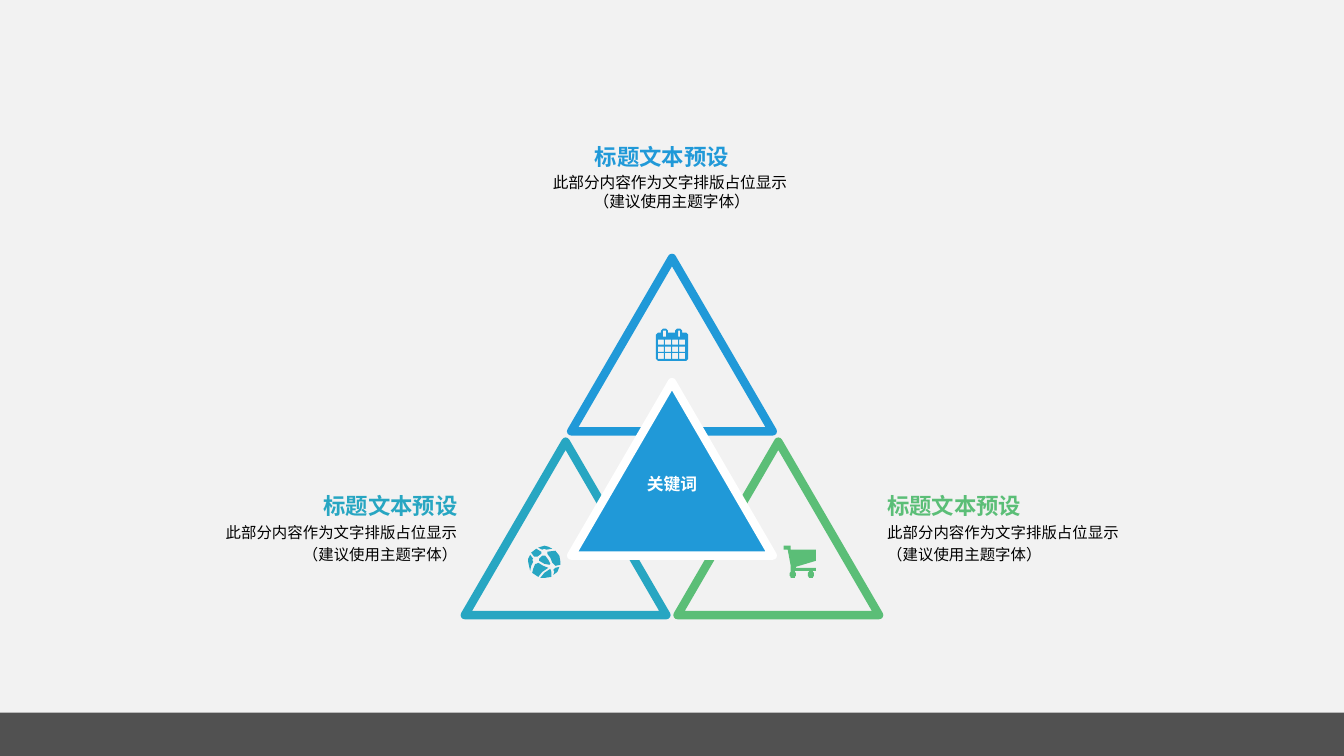
import math

from lxml import etree
from pptx import Presentation
from pptx import util as u
from pptx.dml.color import RGBColor
from pptx.enum import shapes, text
from pptx.oxml.ns import qn

COLORS = {
    "paper": "F2F2F2", "bar": "0D0D0D", "blue": "2099D8", "green": "5BBE77",
    "teal": "27A6C2", "white": "FFFFFF", "black": "000000",
}
SLIDE_W, SLIDE_H = 33.87, 19.05
MIDDLE = SLIDE_W / 2
TRI_W, TRI_H = 5.08, 4.37
ICON_UNIT = u.Cm(0.0254)
LEFT, CENTER, RIGHT = text.PP_ALIGN.LEFT, text.PP_ALIGN.CENTER, text.PP_ALIGN.RIGHT


class Board:
    font = "Calibri"

    def __init__(self, slide):
        self.slide = slide
        slide.background.fill.solid()
        slide.background.fill.fore_color.rgb = self.color("paper")

    def color(self, name):
        return RGBColor.from_string(COLORS[name])

    def paint(self, shape, fill=None, line=None, width=6):
        shape.shadow.inherit = False
        if fill:
            shape.fill.solid()
            shape.fill.fore_color.rgb = self.color(fill)
        else:
            shape.fill.background()
        if line:
            shape.line.color.rgb = self.color(line)
            shape.line.width = u.Pt(width)
            outline = shape.element.spPr.find(qn("a:ln"))
            etree.SubElement(outline, qn("a:round"))
        else:
            shape.line.fill.background()

    def bar(self, top, height, opacity):
        bar = self.slide.shapes.add_shape(
            shapes.MSO_SHAPE.RECTANGLE, 0, u.Cm(top), u.Cm(SLIDE_W), u.Cm(height))
        self.paint(bar, fill="bar")
        tint = bar.element.spPr.find(qn("a:solidFill")).find(qn("a:srgbClr"))
        etree.SubElement(tint, qn("a:alpha"), val=str(opacity * 1000))

    def triangle(self, center, top, fill=None, line=None):
        triangle = self.slide.shapes.add_shape(
            shapes.MSO_SHAPE.ISOSCELES_TRIANGLE, u.Cm(center - TRI_W / 2), u.Cm(top),
            u.Cm(TRI_W), u.Cm(TRI_H))
        self.paint(triangle, fill, line)
        return triangle

    def icon(self, left, top, outlines, color):
        first, *others = outlines
        pen = self.slide.shapes.build_freeform(*first[0], scale=ICON_UNIT)
        pen.add_line_segments(first[1:], close=True)
        for outline in others:
            pen.move_to(*outline[0])
            pen.add_line_segments(outline[1:], close=True)
        self.paint(pen.convert_to_shape(u.Cm(left), u.Cm(top)), fill=color)

    def label(self, frame, words, size, color, align, bold=False, wrap=False,
              spacing=None, indent=0, **frame_format):
        frame_format = {"word_wrap": wrap, **frame_format}
        for key, value in frame_format.items():
            setattr(frame, key, value)
        paragraph = frame.paragraphs[0]
        paragraph.text = words
        for key, value in {"alignment": align, "line_spacing": spacing}.items():
            setattr(paragraph, key, value)
        if indent:
            paragraph._p.get_or_add_pPr().set("marL", str(u.Cm(indent)))
        style = {"name": self.font, "size": u.Pt(size), "bold": bold}
        for run in paragraph.runs:
            for key, value in style.items():
                setattr(run.font, key, value)
            run.font.color.rgb = self.color(color)

    def textbox(self, left, top, width, height, words, size, color, align, **options):
        box = self.slide.shapes.add_textbox(*map(u.Cm, (left, top, width, height)))
        margins = {"margin_left": u.Cm(0.41), "margin_right": u.Cm(0.41),
                   "margin_top": 0, "margin_bottom": 0}
        self.label(box.text_frame, words, size, color, align, **margins, **options)

    def caption(self, left, top, width, title_height, body_height, color, align,
                body, body_size, title_align=None, indent=0, spacing=None):
        self.textbox(left, top, width, title_height, "标题文本预设", 16, color,
                     title_align or align, bold=True, indent=indent,
                     vertical_anchor=text.MSO_ANCHOR.MIDDLE)
        self.textbox(left, top + title_height, width, body_height, body, body_size,
                     "black", align, wrap=True, spacing=spacing,
                     vertical_anchor=text.MSO_ANCHOR.TOP)


def box(x, y, width, height):
    return [(x, y), (x + width, y), (x + width, y + height), (x, y + height)]


def wheel(x, y, radius=3.5, steps=24):
    angles = [2 * math.pi * step / steps for step in range(steps)]
    return [(x + radius * math.cos(a), y + radius * math.sin(a)) for a in angles]


CALENDAR = [
    [(32, 30), (30, 32), (2, 32), (0, 30), (0, 6), (2, 4), (5, 4), (5, 2), (7, 0),
     (9.5, 0), (11.5, 2), (11.5, 4), (19, 4), (19, 2), (21, 0), (24, 0), (26, 2),
     (26, 4), (30, 4), (32, 6)],
    box(7, 2, 2.5, 6), box(21.5, 2, 2.5, 6),
    *[box(2 + 7 * column, 11 + 6.5 * row, 6, 5.5)
      for row in range(3) for column in range(4)],
]
CART = [
    [(12, 21), (32, 15), (32, 4), (7, 4), (7, 0), (0, 0), (0, 4), (4, 4), (7, 20),
     (7, 25), (32, 25), (32, 22), (12, 22)],
    wheel(9, 28.5), wheel(27, 28.5),
]
GLOBE = [
    [(22, 23), (16, 27), (12, 32), (16, 32), (23, 31), (23, 26)],
    [(27, 5), (19, 6), (19, 8), (22, 12), (24, 17), (27, 20), (32, 19), (32, 16),
     (31, 10)],
    [(20, 22), (15, 20), (10, 17), (8, 18), (7, 18), (5, 23), (4, 27), (10, 31),
     (14, 26)],
    [(25, 24), (26, 26), (25, 29), (29, 26), (31, 21), (27, 22)],
    [(21, 19), (22, 18), (20, 14), (17, 10), (14, 10), (11, 13), (11, 15), (16, 18)],
    [(16, 3), (18, 4), (24, 3), (20, 1), (16, 0), (10, 2), (14, 4)],
    [(4, 14), (5, 13), (2, 9), (0, 13), (0, 16), (2, 25), (3, 20), (5, 16)],
    [(8, 11), (9, 11), (13, 8), (13, 6), (8, 3), (3, 7), (6, 11)],
]


def main():
    deck = Presentation()
    deck.slide_width, deck.slide_height = u.Cm(SLIDE_W), u.Cm(SLIDE_H)
    board = Board(deck.slides.add_slide(deck.slide_layouts[6]))
    board.bar(17.96, 1.09, 70)

    for offset, top, color in [(0, 6.5, "blue"), (2.68, 11.13, "green"),
                               (-2.68, 11.13, "teal")]:
        board.triangle(MIDDLE + offset, top, line=color)
    keyword = board.triangle(MIDDLE, 9.63, fill="blue", line="white")
    board.label(keyword.text_frame, "关键词", 12, "white", CENTER, bold=True,
                vertical_anchor=text.MSO_ANCHOR.TOP)

    for left, top, outlines, color in [(16.53, 8.28, CALENDAR, "blue"),
                                       (19.75, 13.75, CART, "green"),
                                       (13.31, 13.75, GLOBE, "teal")]:
        board.icon(left, top, outlines, color)

    board.caption(13.31, 3.56, 7.24, 0.79, 1.6, "blue", CENTER,
                  "此部分内容作为文字排版占位显示 \v（建议使用主题字体）", 11.2,
                  title_align=LEFT, indent=1.27)
    for left, color, align in [(4.75, "teal", RIGHT), (21.95, "green", LEFT)]:
        board.caption(left, 12.4, 7.19, 0.69, 1.5, color, align,
                      "此部分内容作为文字排版占位显示\v（建议使用主题字体）", 11,
                      spacing=1.2)
    deck.save("out.pptx")


if __name__ == "__main__":
    main()
